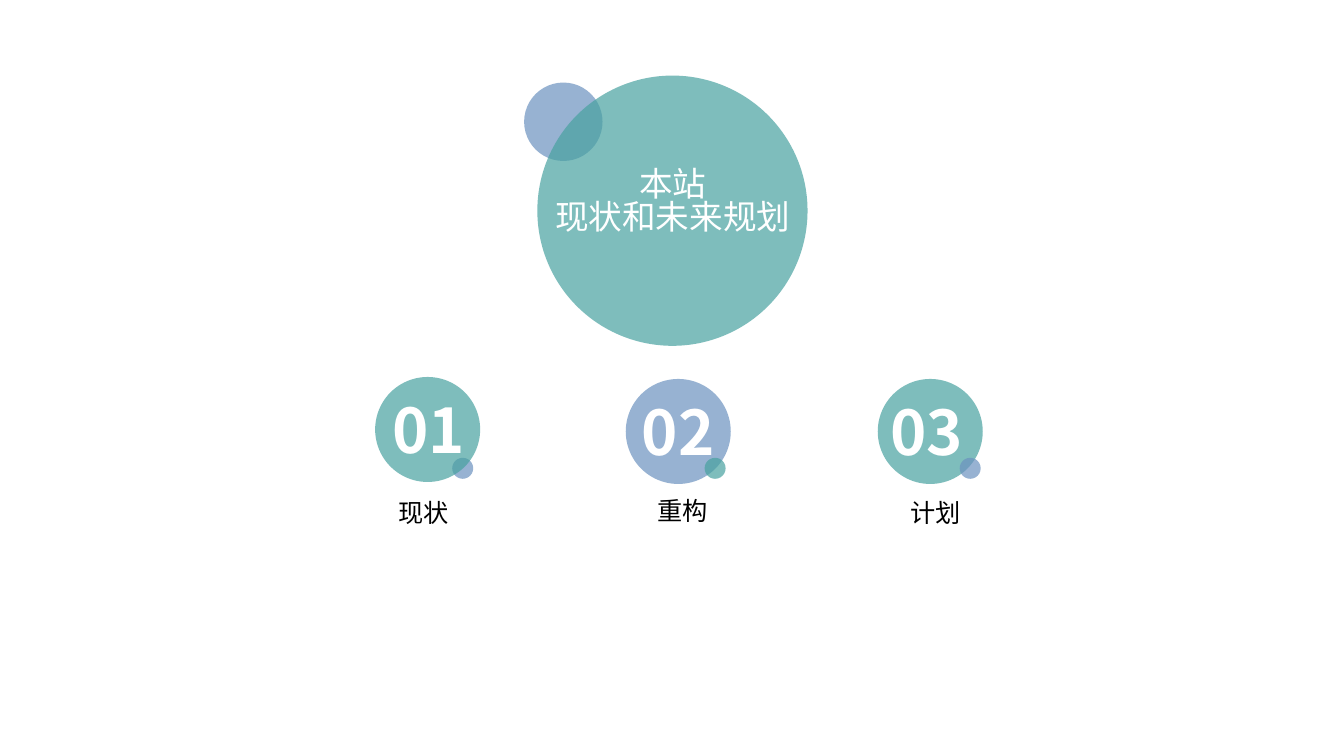
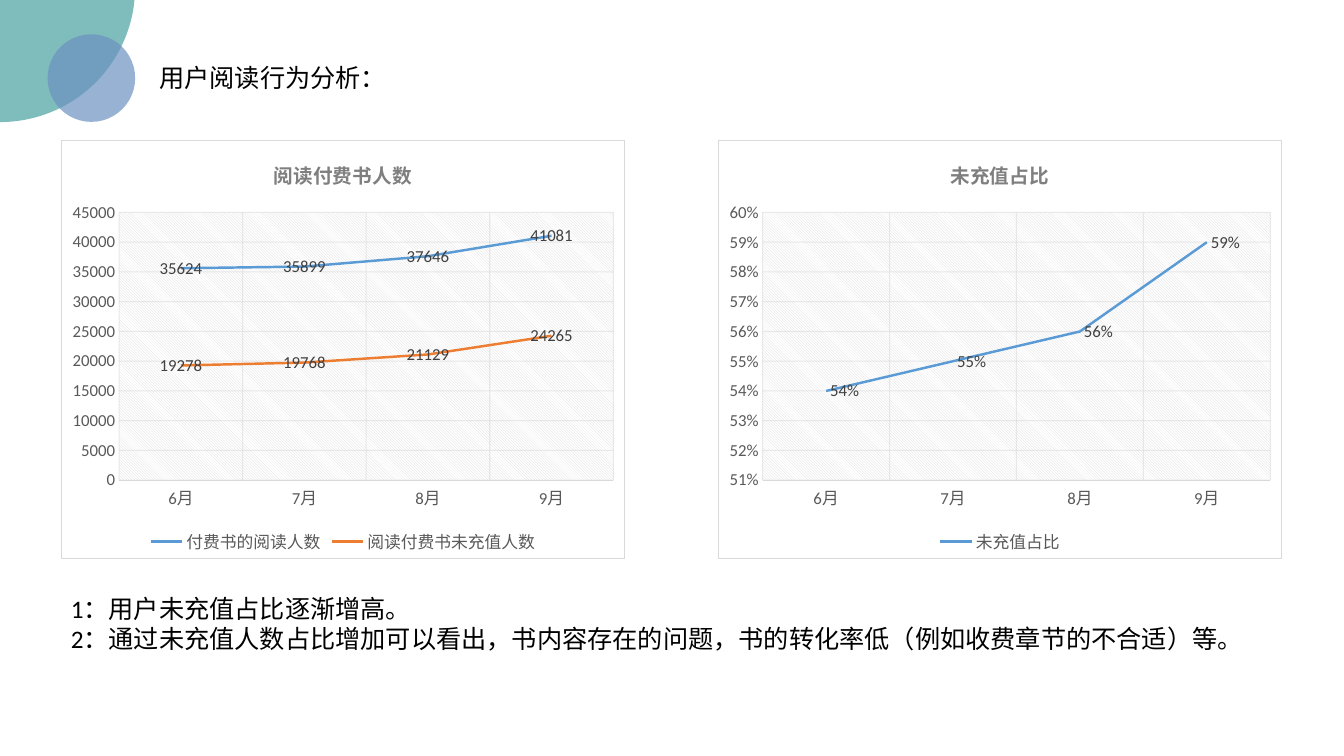
from dataclasses import dataclass

from lxml.etree import SubElement
from pptx import Presentation
from pptx.chart.data import CategoryChartData
from pptx.dml.color import RGBColor
from pptx.enum.chart import XL_CHART_TYPE as ChartType
from pptx.enum.chart import XL_LABEL_POSITION as LabelPosition
from pptx.enum.chart import XL_LEGEND_POSITION as LegendPosition
from pptx.enum.chart import XL_TICK_MARK as TickMark
from pptx.enum.shapes import MSO_SHAPE as Shape
from pptx.enum.text import MSO_ANCHOR as Anchor
from pptx.enum.text import MSO_AUTO_SIZE as AutoSize
from pptx.enum.text import PP_ALIGN as Align
from pptx.oxml import parse_xml
from pptx.oxml.ns import nsdecls, qn
from pptx.util import Pt

TEAL, BLUE = "48A2A0", "6C92C0"
WHITE, BLACK = "FFFFFF", "000000"
GRID, AXIS_TEXT, LABEL_TEXT, CHART_TITLE = "D9D9D9", "595959", "404040", "7F7F7F"
SERIES_COLORS = ("5B9BD5", "ED7D31")
CJK, LATIN = "Noto Sans CJK SC", "Calibri"
MONTHS = ("6月", "7月", "8月", "9月")
BIG_CIRCLE = 193


@dataclass
class Badge:
    number: str
    caption: str
    left: float
    top: float
    color: str
    dot_color: str
    dot_left: float
    number_shift: float
    caption_shift: float
    caption_top: float
    dot_behind: bool = False


BADGES = (
    Badge("01", "现状", 268, 269.3, TEAL, BLUE, 55, 0.7, -3.2, 352, True),
    Badge("02", "重构", 447, 270.7, BLUE, TEAL, 56.3, 0, 3.2, 350),
    Badge("03", "计划", 627, 270.7, TEAL, BLUE, 58.5, -2.5, 4, 351.4),
)


def rgb(color):
    return RGBColor.from_string(color)


def set_alpha(element, percent):
    for color in element.iter(qn("a:srgbClr")):
        SubElement(color, qn("a:alpha")).set("val", str(percent * 1000))


def style_font(font, size, color, name=LATIN, bold=False):
    font.size, font.name, font.bold = Pt(size), name, bold
    font.color.rgb = rgb(color)


def write(shape, text, size, color, name, bold=False, align=Align.LEFT,
          spacing=1.0, wrap=True, auto_size=AutoSize.SHAPE_TO_FIT_TEXT):
    frame = shape.text_frame
    frame.text = text
    frame.word_wrap = wrap
    frame.auto_size = auto_size
    frame.vertical_anchor = Anchor.TOP
    for para in frame.paragraphs:
        para.alignment, para.line_spacing = align, spacing
        para.space_before = Pt(0)
        for span in para.runs:
            style_font(span.font, size, color, name, bold)
            SubElement(span.font._element, qn("a:ea")).set("typeface", name)


def add_text(page, box, text, size, color, name, **options):
    shape = page.shapes.add_textbox(*map(Pt, box))
    write(shape, text, size, color, name, **options)


def place_title(page, box, text, size, color, name, **options):
    title = page.shapes.title
    title.left, title.top, title.width, title.height = map(Pt, box)
    write(title, text, size, color, name, **options)
    page.shapes._spTree.append(title._element)


def add_circle(page, left, top, size, color):
    circle = page.shapes.add_shape(Shape.OVAL, Pt(left), Pt(top), Pt(size), Pt(size))
    circle.shadow.inherit = False
    circle.fill.solid()
    circle.fill.fore_color.rgb = rgb(color)
    set_alpha(circle._element.spPr, 70)
    circle.line.fill.background()


def add_badge(page, badge):
    size, dot_size = 75, 15
    center = badge.left + size / 2
    circle = (badge.left, badge.top, size, badge.color)
    dot = (badge.left + badge.dot_left, 327, dot_size, badge.dot_color)
    for parts in (dot, circle) if badge.dot_behind else (circle, dot):
        add_circle(page, *parts)
    add_text(page, (center + badge.number_shift - 34.5, badge.top + 7.2, 69, 60.5),
             badge.number, 44, WHITE, CJK, bold=True, align=Align.CENTER, wrap=False)
    add_text(page, (center + badge.caption_shift - 25.5, badge.caption_top, 51, 28.8),
             badge.caption, 18, BLACK, CJK, align=Align.CENTER, wrap=False)


def add_page(deck):
    return deck.slides.add_slide(deck.slide_layouts[5])


def build_contents(deck):
    page = add_page(deck)
    left, top = 383.8, 54
    add_circle(page, left - 9.4, top + 5, 56, BLUE)
    add_circle(page, left, top, BIG_CIRCLE, TEAL)
    place_title(page, (left + 1, top + 64, 191.5, 67), "本站\n现状和未来规划", 24, WHITE, CJK,
                align=Align.CENTER, spacing=0.82, auto_size=AutoSize.NONE)
    for badge in BADGES:
        add_badge(page, badge)


def style_gridlines(axis):
    axis.has_major_gridlines = True
    line = axis.major_gridlines.format.line
    line.color.rgb, line.width = rgb(GRID), Pt(0.75)
    set_alpha(axis.major_gridlines._xAx.find(qn("c:majorGridlines")), 54)


def style_axis(axis):
    style_font(axis.tick_labels.font, 12, AXIS_TEXT)
    axis.major_tick_mark = axis.minor_tick_mark = TickMark.NONE
    style_gridlines(axis)


def style_backgrounds(chart):
    space = chart._chartSpace
    namespaces = nsdecls("c", "a")
    border = (f'<a:solidFill><a:srgbClr val="{WHITE}"/></a:solidFill><a:ln w="9525">'
              f'<a:solidFill><a:srgbClr val="{GRID}"/></a:solidFill></a:ln>')
    pattern = (f'<a:pattFill prst="ltDnDiag"><a:fgClr><a:srgbClr val="{GRID}"/></a:fgClr>'
               f'<a:bgClr><a:srgbClr val="{WHITE}"/></a:bgClr></a:pattFill>'
               '<a:ln><a:noFill/></a:ln>')
    area = space.find(qn("c:chart"))
    area.addnext(parse_xml(f"<c:spPr {namespaces}>{border}</c:spPr>"))
    area.find(qn("c:plotArea")).append(parse_xml(f"<c:spPr {namespaces}>{pattern}</c:spPr>"))


def add_line_chart(page, box, title, series, scale, number_format, label_position):
    data = CategoryChartData(number_format=number_format)
    data.categories = MONTHS
    for name, values in series:
        data.add_series(name, values)
    chart = page.shapes.add_chart(ChartType.LINE, *map(Pt, box), data).chart
    style_font(chart.font, 10, BLACK)
    chart.has_title = True
    chart.chart_title.text_frame.text = title
    heading = chart.chart_title.text_frame.paragraphs[0].runs[0]
    style_font(heading.font, 14, CHART_TITLE, bold=True)
    chart.chart_title.include_in_layout = False
    chart.has_legend = True
    chart.legend.position = LegendPosition.BOTTOM
    chart.legend.include_in_layout = False
    style_font(chart.legend.font, 12, AXIS_TEXT)

    style_axis(chart.category_axis)
    chart.category_axis.format.line.color.rgb = rgb(GRID)
    chart.category_axis.format.line.width = Pt(0.75)
    values_axis = chart.value_axis
    style_axis(values_axis)
    values_axis.format.line.fill.background()
    values_axis.minimum_scale, values_axis.maximum_scale, values_axis.major_unit = scale
    values_axis.tick_labels.number_format = number_format
    values_axis.tick_labels.number_format_is_linked = False

    plot = chart.plots[0]
    plot.vary_by_categories = False
    for line_series, color in zip(plot.series, SERIES_COLORS):
        line_series.smooth = False
        line_series.format.line.color.rgb = rgb(color)
        line_series.format.line.width = Pt(1.75)
        labels = line_series.data_labels
        labels.show_value = True
        labels.position = label_position
        labels.number_format, labels.number_format_is_linked = number_format, False
        style_font(labels.font, 12, LABEL_TEXT)
    style_backgrounds(chart)


def build_analysis(deck):
    page = add_page(deck)
    add_circle(page, -96.5, -105.8, BIG_CIRCLE, TEAL)
    add_circle(page, 34, 24.5, 62.6, BLUE)
    place_title(page, (106.6, 41, 311, 28.8), "用户阅读行为分析：", 18, BLACK, LATIN)
    top, width, height = 100, 403, 299
    add_line_chart(page, (43.5, top, width, height), "阅读付费书人数",
                   (("付费书的阅读人数", (35624, 35899, 37646, 41081)),
                    ("阅读付费书未充值人数", (19278, 19768, 21129, 24265))),
                   (0, 45000, 5000), "General", LabelPosition.CENTER)
    add_line_chart(page, (512.8, top, width, height), "未充值占比",
                   (("未充值占比", (0.54, 0.55, 0.56, 0.59)),),
                   (0.51, 0.6, 0.01), "0%", LabelPosition.RIGHT)
    add_text(page, (43.5, 420, 839.5, 72.7),
             "1：用户未充值占比逐渐增高。\n"
             "2：通过未充值人数占比增加可以看出，书内容存在的问题，书的转化率低（例如收费章节的不合适）等。",
             18, BLACK, LATIN)


def main():
    deck = Presentation()
    deck.slide_width, deck.slide_height = Pt(960), Pt(540)
    build_contents(deck)
    build_analysis(deck)
    deck.save("out.pptx")


if __name__ == "__main__":
    main()
